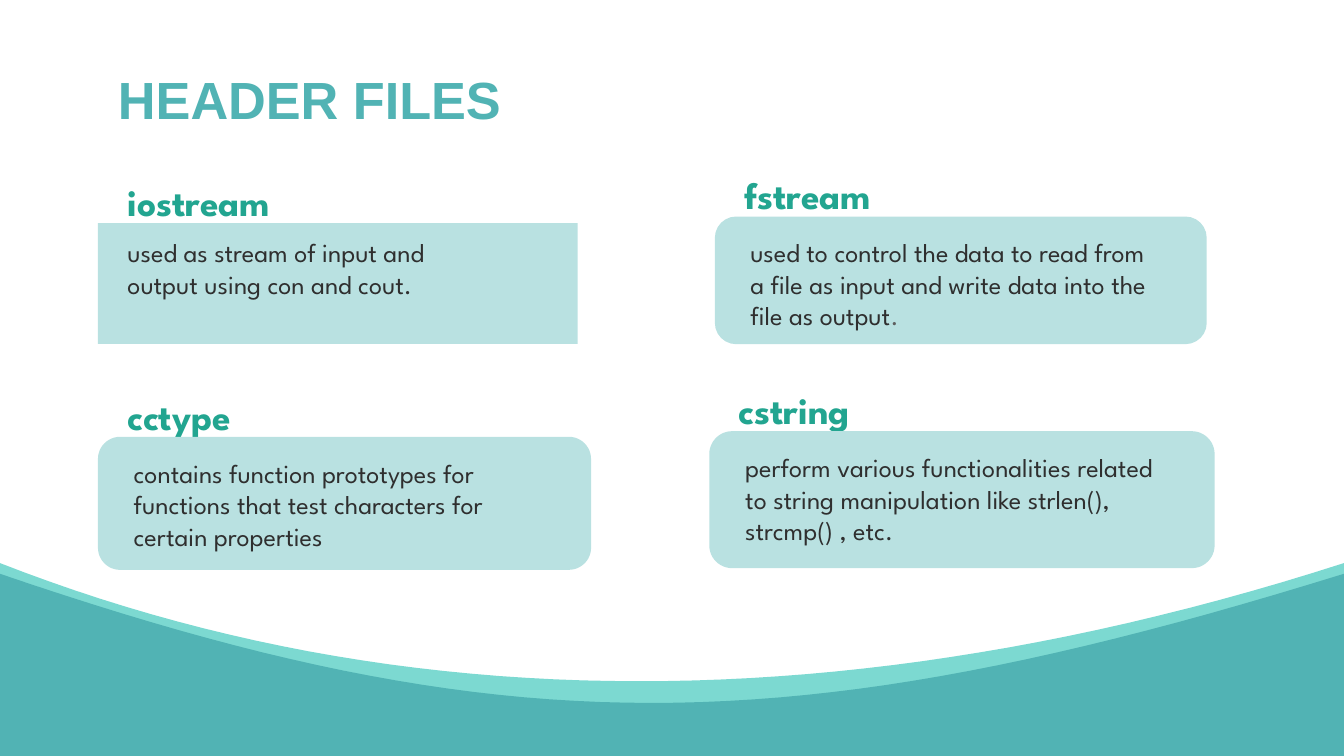
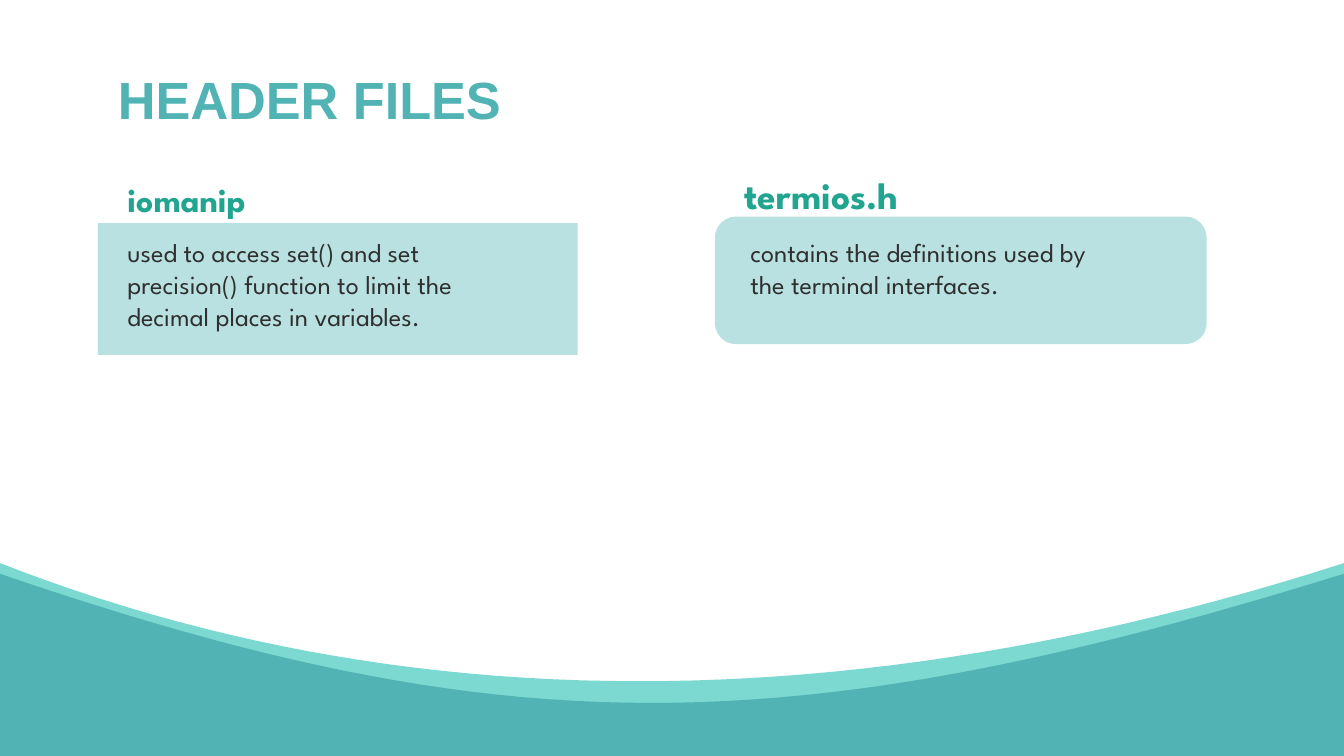
"""Build two slides of header file cards above a shared wave."""
import pptx
import pptx.dml.color
import pptx.enum.shapes
import pptx.enum.text
import pptx.oxml.ns
import pptx.util
from lxml import etree

Pt = pptx.util.Pt
WIDTH, HEIGHT = 720, 405
TEAL, MINT, PALE = "51B3B4", "7CD9D1", "B9E1E1"
GREEN, DARK, GRAY = "22A590", "2F2F2F", "5E5E5E"
FONT = "League Spartan"
HEAD_W, HEAD_H = 179, 31
WAVES = [
    (MINT, [(720, 301.7), (586, 344.9), (460, 365), (342.7, 365),
            (220.3, 365), (106.6, 343.4), (0, 301.7)]),
    (TEAL, [(720, 307.4), (569.5, 354.2), (457.2, 376.6), (349.2, 376.6),
            (239.8, 376.6), (134.6, 353.5), (0, 307.4)]),
]
SLIDES = [
    [
        ("iostream", 20, (52.5, 88.5, 257, 64.8),
         ["used as stream of input and", "output using con and cout."]),
        ("fstream", 20, (383, 85, 263.5, 68.4),
         ["used to control the data to read from",
          "a file as input and write data into the",
          [("file as output", DARK), (".", GRAY)]]),
        ("cctype", 20, (52.5, 203, 264.2, 71.3),
         ["contains function prototypes for",
          "functions that test characters for",
          "certain properties"]),
        ("cstring", 20, (380, 200, 270.7, 73.4),
         ["perform various functionalities related",
          "to string manipulation like strlen(),",
          "strcmp() , etc."]),
    ],
    [
        ("iomanip", 18, (52.5, 88.5, 257, 70.6),
         ["used to access set() and set",
          "precision() function to limit the",
          "decimal places in variables."]),
        ("termios.h", 20, (383, 85, 263.5, 68.4),
         ["contains the definitions used by", "the terminal interfaces."]),
    ],
]


def rgb(value):
    """Turn a hex string into a colour."""
    return pptx.dml.color.RGBColor.from_string(value)


def place(sp, left, top, width, height):
    """Set the position and size of a shape in points."""
    sp.left, sp.top, sp.width, sp.height = map(Pt, (left, top, width, height))


def paint(sp, color):
    """Give a shape a solid fill without outline."""
    sp.fill.solid()
    sp.fill.fore_color.rgb = rgb(color)
    sp.line.fill.background()


def write(sp, lines, size, font, bold=False, hanging=True, leading=1.21):
    """Write lines of (text, colour) runs, one paragraph a line."""
    tf = sp.text_frame
    tf.word_wrap = True
    tf.auto_size = pptx.enum.text.MSO_AUTO_SIZE.NONE
    tf.vertical_anchor = pptx.enum.text.MSO_ANCHOR.TOP
    tf.margin_left = tf.margin_right = tf.margin_top = tf.margin_bottom = Pt(7.2)
    for i, runs in enumerate(lines):
        p = tf.paragraphs[0] if i == 0 else tf.add_paragraph()
        pPr = p._p.get_or_add_pPr()
        pPr.set("marL", str(Pt(36) if hanging else 0))
        pPr.set("indent", str(Pt(-27.4) if hanging else 0))
        etree.SubElement(pPr, pptx.oxml.ns.qn("a:buNone"))
        p.alignment = pptx.enum.text.PP_ALIGN.LEFT
        p.space_before = p.space_after = Pt(0)
        p.line_spacing = Pt(size * leading)
        for text, color in runs:
            r = p.add_run()
            r.text = text
            r.font.name, r.font.size, r.font.bold = font, Pt(size), bold
            r.font.color.rgb = rgb(color)


def curve(points, steps=24):
    """Sample a chain of cubic Bezier curves after its first point."""
    for i in range(0, len(points) - 1, 3):
        for k in range(1, steps + 1):
            t = k / steps
            weights = ((1 - t) ** 3, 3 * t * (1 - t) ** 2,
                       3 * t * t * (1 - t), t ** 3)
            yield tuple(sum(w * pt[axis] for w, pt in zip(weights, points[i:i + 4]))
                        for axis in (0, 1))


def add_waves(s):
    """Draw the waves and hand them to the layout of the slide."""
    for i, (color, points) in enumerate(WAVES):
        outline = [(0, HEIGHT), (WIDTH, HEIGHT), points[0], *curve(points)]
        start = points[-1]
        builder = s.shapes.build_freeform(Pt(start[0]), Pt(start[1]))
        builder.add_line_segments([(Pt(x), Pt(y)) for x, y in outline])
        sp = builder.convert_to_shape()
        paint(sp, color)
        sp.shadow.inherit = False
        sp.element.nvSpPr.cNvPr.id = 100 + i
        s.slide_layout.shapes.element.insert(2 + i, sp.element)


def add_title(s, text):
    """Fill the title placeholder."""
    sp = s.shapes.title
    place(sp, 56, 27.4, 608, 36.7)
    write(sp, [[(text, TEAL)]], 28, "Arial", True, False, 1.25)


def add_heading(s, sp, text, size, left, top):
    """Write a card heading into a placeholder or a new text box."""
    sp = sp or s.shapes.add_textbox(0, 0, 0, 0)
    place(sp, left, top, HEAD_W, HEAD_H)
    write(sp, [[(text, GREEN)]], size, FONT, True)


def add_panel(s, sp, lines, *box):
    """Fill a placeholder panel, or add a rounded one."""
    if sp is None:
        kind = pptx.enum.shapes.MSO_SHAPE.FLOWCHART_ALTERNATE_PROCESS
        sp = s.shapes.add_shape(kind, 0, 0, 0, 0)
        sp.shadow.inherit = False
    place(sp, *box)
    paint(sp, PALE)
    runs = [[(line, DARK)] if isinstance(line, str) else line for line in lines]
    write(sp, runs, 14, FONT)


def add_cards(s, cards):
    """Add the cards, using the placeholders of the layout first."""
    holders = {ph.placeholder_format.idx: ph for ph in s.placeholders}
    headings = [holders[1], holders[3]]
    panels = [holders[2]]
    holders[4].element.getparent().remove(holders[4].element)
    for i, (name, size, (left, top, width, height), lines) in enumerate(cards):
        heading = headings[i] if i < len(headings) else None
        panel = panels[i] if i < len(panels) else None
        add_heading(s, heading, name, size, left, top)
        add_panel(s, panel, lines, left, top + HEAD_H, width, height)


def main():
    """Build and save the presentation."""
    prs = pptx.Presentation()
    prs.slide_width, prs.slide_height = Pt(WIDTH), Pt(HEIGHT)
    layout = prs.slide_layouts.get_by_name("Comparison")
    for i, cards in enumerate(SLIDES):
        s = prs.slides.add_slide(layout)
        if i == 0:
            add_waves(s)
        add_title(s, "HEADER FILES")
        add_cards(s, cards)
    prs.save("out.pptx")


if __name__ == "__main__":
    main()
